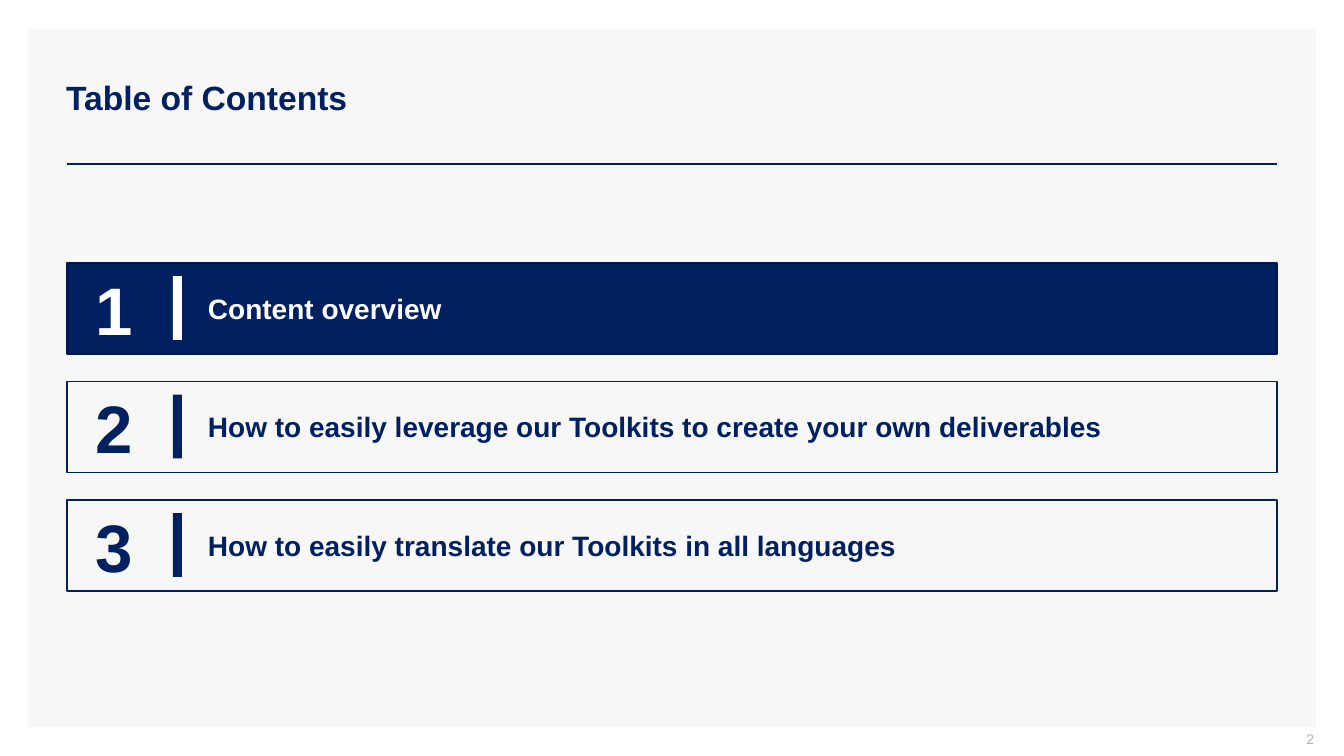
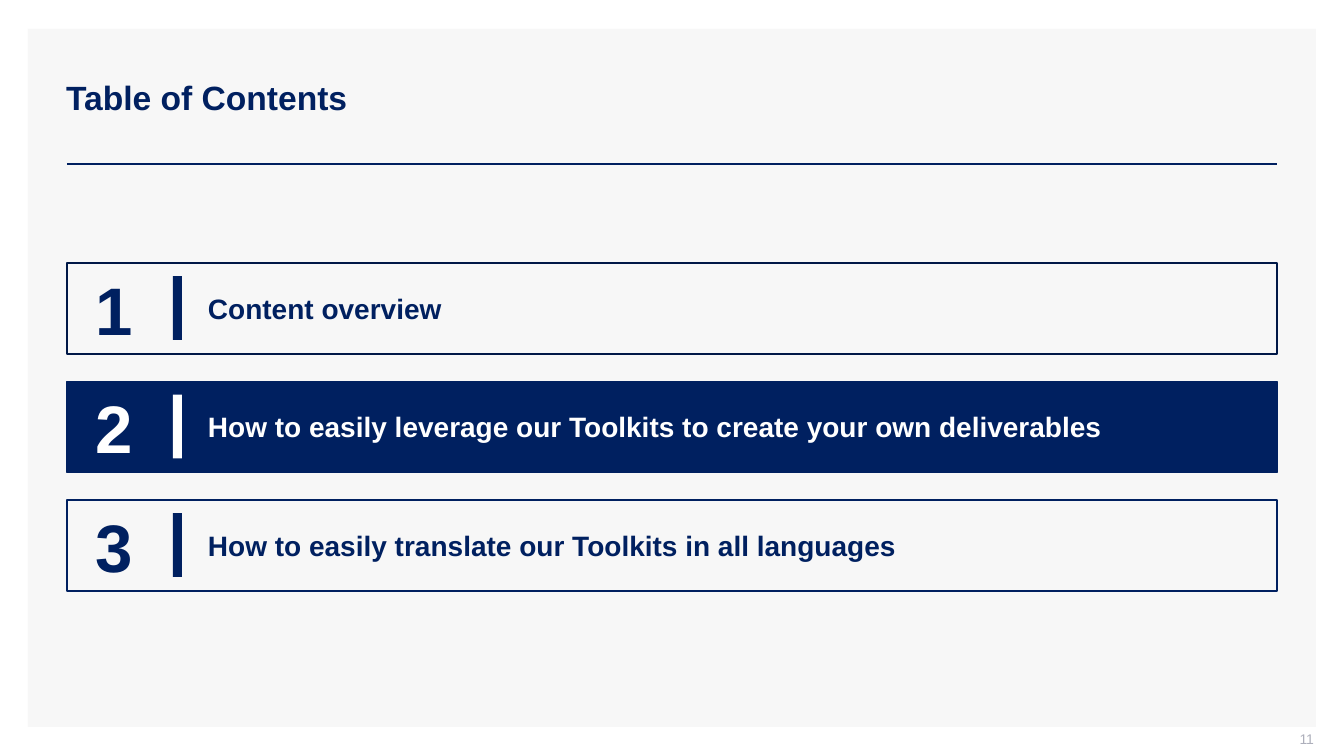
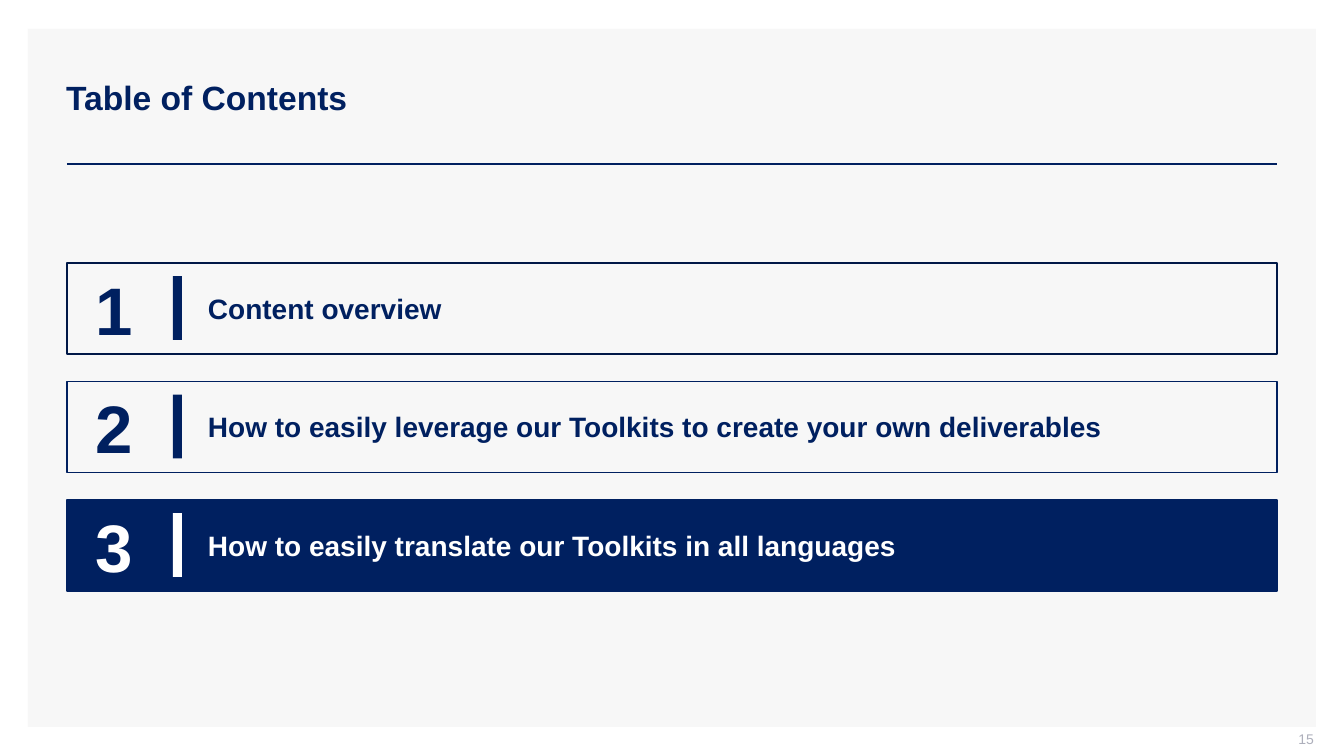
from pptx import Presentation
from pptx.dml.color import RGBColor
from pptx.enum.shapes import MSO_CONNECTOR as Link, MSO_SHAPE as Kind
from pptx.enum.text import MSO_ANCHOR as Anchor, PP_ALIGN as Align
from pptx.util import Emu, Pt
from lxml.etree import SubElement
from pptx.oxml.ns import qn

WIDE, HIGH = 1344, 756
SCALE = 12192000 / WIDE
FONT = "Arial"
NAVY, DARK, WHITE, PALE, GREY = "002060", "001847", "FFFFFF", "F7F7F7", "ADAFBB"
TITLE = "Table of Contents"
TOPICS = [
    ("Content overview", DARK),
    ("How to easily leverage our Toolkits to create your own deliverables", NAVY),
    ("How to easily translate our Toolkits in all languages", NAVY),
]
PAGES = [2, 11, 15]
LIST = (67, 263, 1210, 328)
ROW = 91


def px(*sizes):
    """Turn px lengths into EMU."""
    return [Emu(round(size * SCALE)) for size in sizes]


def tint(code):
    """Turn a hex string into a colour."""
    return RGBColor.from_string(code)


def box(shapes, area, fill=None, line=None):
    """Add a rectangle with an optional fill and outline."""
    rect = shapes.add_shape(Kind.RECTANGLE, *px(*area))
    rect.shadow.inherit = False
    if fill:
        rect.fill.solid()
        rect.fill.fore_color.rgb = tint(fill)
    else:
        rect.fill.background()
    if line:
        rect.line.color.rgb = tint(line)
        rect.line.width = Pt(1)
    else:
        rect.line.fill.background()
    return rect


def write(frame, text, size, color, bold=True, align=Align.LEFT):
    """Fill a text frame with one middle-anchored run."""
    frame.word_wrap = True
    frame.vertical_anchor = Anchor.MIDDLE
    para = frame.paragraphs[0]
    para.alignment = align
    run = para.add_run()
    run.text = text
    font = run.font
    font.name, font.size, font.bold = FONT, Pt(size), bold
    font.color.rgb = tint(color)
    return para


def label(shapes, area, text, size, color, pad=(0, 0, 0, 0), **style):
    """Add a text box with the given inner margins."""
    frame = shapes.add_textbox(*px(*area)).text_frame
    (frame.margin_left, frame.margin_top,
     frame.margin_right, frame.margin_bottom) = px(*pad)
    write(frame, text, size, color, **style)


def backdrop(slide, layout):
    """Draw the panel and title rule, then hand them to the layout."""
    panel = box(slide.shapes, (28, 29, 1288, 698), PALE)
    left, _, width, _ = LIST
    rule = slide.shapes.add_connector(
        Link.STRAIGHT, *px(left, 164, left + width, 164))
    rule.line.color.rgb = tint(NAVY)
    rule.line.width = Pt(2)
    SubElement(rule._element.spPr, qn("a:effectLst"))
    tree = layout.shapes._spTree
    for spot, part in enumerate((panel, rule), 2):
        tree.insert(spot, part._element)


def topic(slide, area, number, text, edge, active):
    """Place one numbered row, filled when active."""
    left, top, width, height = area
    ink = WHITE if active else NAVY
    shapes = slide.shapes.add_group_shape().shapes
    box(shapes, area, NAVY if active else None, edge)
    label(shapes, (left + 8, top + 1, 78, height - 2), str(number), 48, ink,
          align=Align.CENTER)
    label(shapes, (left + 141, top + 28, 1031, 34), text, 20, ink)
    box(shapes, (left + 106, top + 13, 9, 64), ink)


def agenda(slide, area, active):
    """Spread the topic rows evenly over the area."""
    left, top, width, height = area
    step = (height - ROW) / (len(TOPICS) - 1)
    for index, (text, edge) in enumerate(TOPICS):
        spot = (left, top + index * step, width, ROW)
        topic(slide, spot, index + 1, text, edge, index == active)


def heading(slide):
    """Move and format the title placeholder."""
    title = slide.shapes.title
    title.left, title.top, title.width, title.height = px(56, 40, 1221, 120)
    write(title.text_frame, TITLE, 24, NAVY).line_spacing = 0.9


def footer(slide, page):
    """Place the page number below the panel."""
    label(slide.shapes, (1012, 731, 302, 21), str(page), 10, GREY,
          pad=(10, 0, 0, 5), bold=False, align=Align.RIGHT)


def main():
    """Build and save the deck."""
    deck = Presentation()
    deck.slide_width, deck.slide_height = px(WIDE, HIGH)
    layout = deck.slide_layouts[5]
    for active, page in enumerate(PAGES):
        slide = deck.slides.add_slide(layout)
        if active == 0:
            backdrop(slide, layout)
        heading(slide)
        footer(slide, page)
        agenda(slide, LIST, active)
    deck.save("out.pptx")


if __name__ == "__main__":
    main()
